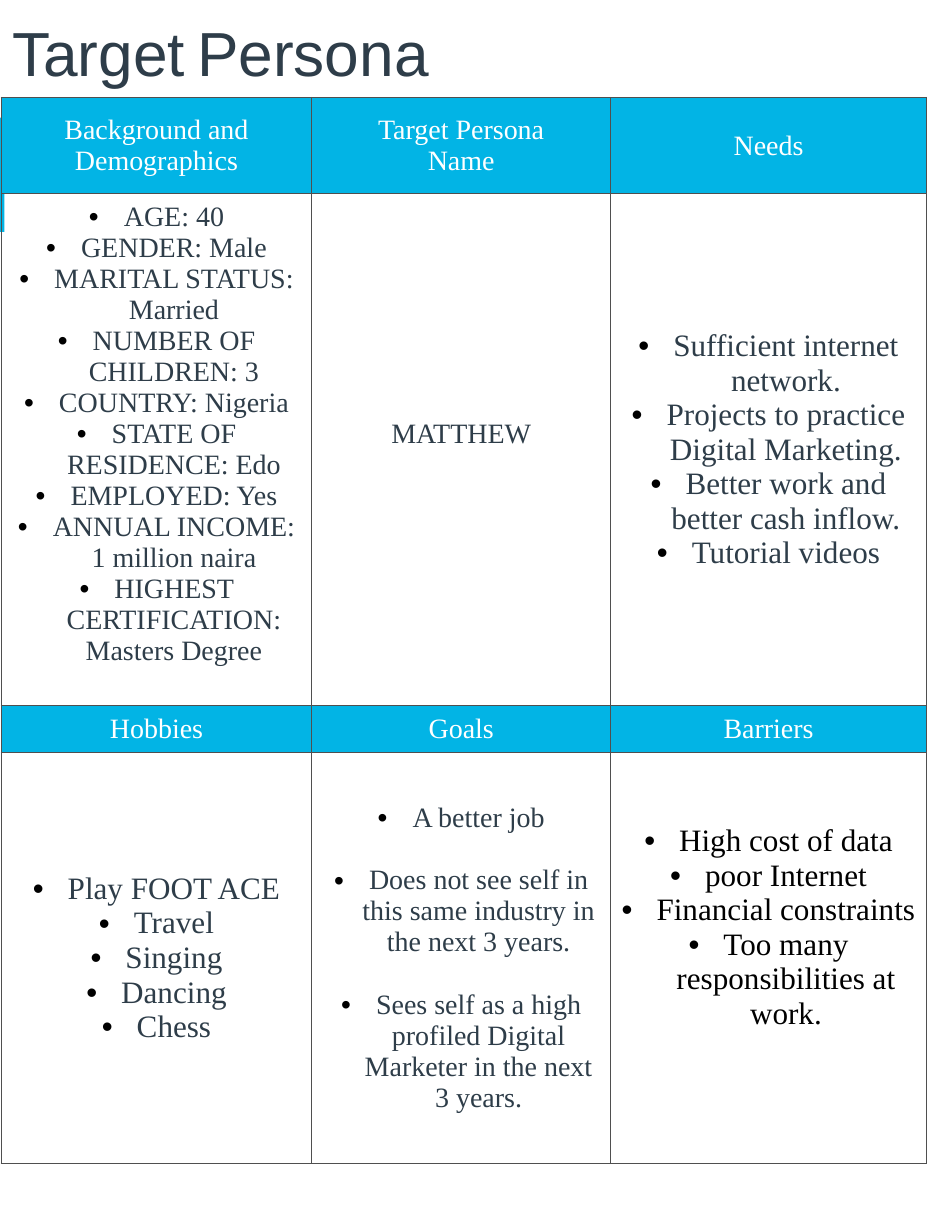
from lxml import etree
from pptx import Presentation
from pptx.dml.color import RGBColor
from pptx.enum.shapes import MSO_SHAPE
from pptx.enum.text import MSO_ANCHOR, MSO_AUTO_SIZE, PP_ALIGN
from pptx.oxml.ns import qn
from pptx.util import Cm, Pt

RECTANGLE = MSO_SHAPE.RECTANGLE
TOP, MIDDLE = MSO_ANCHOR.TOP, MSO_ANCHOR.MIDDLE
NO_AUTOFIT = MSO_AUTO_SIZE.NONE
LEFT, CENTER = PP_ALIGN.LEFT, PP_ALIGN.CENTER

ACCENT, INK, WHITE, BLACK, BORDER = "02B4E5", "2E3D49", "FFFFFF", "000000", "4F4F4F"
CELL_MARGIN = 0.18
COLUMN_WIDTHS = [7.04, 6.78, 7.16]
ROW_HEIGHTS = [2.18, 11.61, 1.04, 9.32]

HEADINGS = [
    (0, ["Background and Demographics", "Target Persona\vName", "Needs"]),
    (2, ["Hobbies", "Goals", "Barriers"]),
]
# row, column, items, cell options
LISTS = [
    (1, 0, ["AGE: 40", "GENDER: Male", "MARITAL STATUS: Married",
            "NUMBER OF CHILDREN: 3", "COUNTRY: Nigeria", "STATE OF RESIDENCE: Edo",
            "EMPLOYED: Yes", "ANNUAL INCOME: 1 million naira",
            "HIGHEST CERTIFICATION: Masters Degree"], {"size": 18, "bottom": 0.88}),
    (1, 2, ["Sufficient internet network.", "Projects to practice Digital Marketing.",
            "Better work and better cash inflow.", "Tutorial videos"], {}),
    (3, 0, ["Play FOOT ACE", "Travel", "Singing", "Dancing", "Chess"], {}),
    (3, 1, ["A better job",
            "Does not see self in this same industry in the next 3 years.",
            "Sees self as a high profiled Digital Marketer in the next 3 years."],
     {"size": 18, "gap": 20}),
    (3, 2, ["High cost of data", "poor Internet", "Financial constraints",
            "Too many responsibilities at work."], {"color": BLACK, "bottom": 1.57}),
]


def rgb(value):
    return RGBColor.from_string(value)


def add_solid_fill(parent, tag, color):
    holder = etree.SubElement(parent, qn(tag))
    etree.SubElement(holder, qn("a:srgbClr"), val=color)


class PersonaSlide:
    """Holds the style and the current slide."""

    def __init__(self, presentation, font="Times New Roman", title_font="Arial"):
        self.font, self.title_font = font, title_font
        self.slide = presentation.slides.add_slide(presentation.slide_layouts[5])

    def style_run(self, run, font, size, color):
        run.font.name = font
        run.font.size = Pt(size)
        run.font.bold = False
        run.font.color.rgb = rgb(color)

    def title(self, words, left, top, width, height):
        shape = self.slide.shapes.title
        shape.left, shape.top, shape.width, shape.height = map(Cm, (left, top, width, height))
        frame = shape.text_frame
        frame.auto_size, frame.vertical_anchor, frame.word_wrap = NO_AUTOFIT, TOP, True
        frame.margin_left = frame.margin_right = Cm(0.25)
        frame.margin_top = Cm(0.43)
        paragraph = frame.paragraphs[0]
        paragraph.alignment, paragraph.line_spacing = LEFT, 1.15
        for text, size in words:
            run = paragraph.add_run()
            run.text = text
            self.style_run(run, self.title_font, size, INK)

    def bar(self, left, top, width, height):
        shape = self.slide.shapes.add_shape(RECTANGLE, *map(Cm, (left, top, width, height)))
        shape.shadow.inherit = False
        shape.fill.solid()
        shape.fill.fore_color.rgb = rgb(ACCENT)
        shape.line.fill.background()

    def table(self, left, top, widths, heights):
        frame = self.slide.shapes.add_table(
            len(heights), len(widths), Cm(left), Cm(top), Cm(sum(widths)), Cm(sum(heights)))
        table = frame.table
        table.first_row = table.horz_banding = False
        for column, width in zip(table.columns, widths):
            column.width = Cm(width)
        for row, height in zip(table.rows, heights):
            row.height = Cm(height)
        for cell in table.iter_cells():
            cell.fill.background()
            self.border(cell)
        return table

    def border(self, cell):
        properties = cell._tc.get_or_add_tcPr()
        for index, side in enumerate(("a:lnL", "a:lnR", "a:lnT", "a:lnB")):
            line = etree.Element(qn(side), w=str(Pt(1)))
            add_solid_fill(line, "a:solidFill", BORDER)
            properties.insert(index, line)

    def bullet(self, paragraph):
        properties = paragraph._p.get_or_add_pPr()
        properties.set("marL", str(Cm(0.79)))
        properties.set("indent", str(-Cm(0.79)))
        add_solid_fill(properties, "a:buClr", BLACK)
        etree.SubElement(properties, qn("a:buFont"), typeface="Arial")
        etree.SubElement(properties, qn("a:buChar"), char="•")

    def cell(self, cell, items, size=20, color=INK, bulleted=False, gap=0, bottom=CELL_MARGIN):
        cell.vertical_anchor = MIDDLE
        cell.margin_left = cell.margin_right = cell.margin_top = Cm(CELL_MARGIN)
        cell.margin_bottom = Cm(bottom)
        cell.text_frame.text = "\n".join(items)
        for index, paragraph in enumerate(cell.text_frame.paragraphs):
            paragraph.alignment = CENTER
            if gap and index:
                paragraph.space_before = Pt(gap)
            if bulleted:
                self.bullet(paragraph)
            for run in paragraph.runs:
                self.style_run(run, self.font, size, color)

    def heading(self, cell, text):
        cell.fill.solid()
        cell.fill.fore_color.rgb = rgb(ACCENT)
        self.cell(cell, [text], size=18, color=WHITE)


def main():
    presentation = Presentation()
    presentation.slide_width, presentation.slide_height = Cm(21.59), Cm(27.94)
    persona = PersonaSlide(presentation)
    persona.bar(0, 2.67, 0.1, 2.59)
    persona.title([("Target", 40), (" ", 28), ("Persona", 40)], 0.03, -0.36, 20.12, 3.1)
    table = persona.table(0.03, 2.21, COLUMN_WIDTHS, ROW_HEIGHTS)
    for row, texts in HEADINGS:
        for column, text in enumerate(texts):
            persona.heading(table.cell(row, column), text)
    persona.cell(table.cell(1, 1), ["MATTHEW"], size=18, bottom=0.88)
    for row, column, items, options in LISTS:
        persona.cell(table.cell(row, column), items, bulleted=True, **options)
    presentation.save("out.pptx")


if __name__ == "__main__":
    main()
